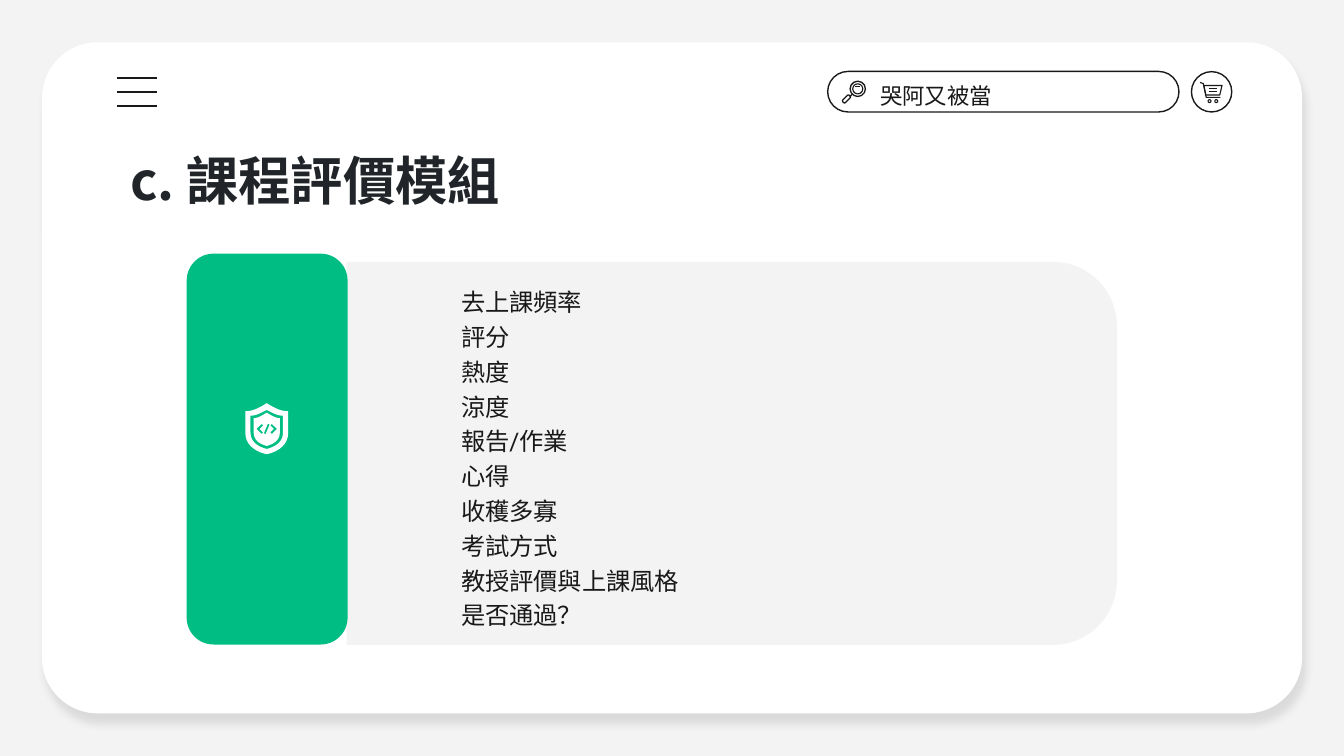
from dataclasses import dataclass
from typing import Optional

from lxml.etree import SubElement
from pptx import Presentation
from pptx.dml.color import RGBColor
from pptx.enum.shapes import MSO_CONNECTOR, MSO_SHAPE
from pptx.enum.text import MSO_ANCHOR, MSO_AUTO_SIZE, PP_ALIGN
from pptx.oxml.ns import qn
from pptx.util import Pt

GREY = RGBColor(0xF3, 0xF3, 0xF3)
WHITE = RGBColor(0xFF, 0xFF, 0xFF)
INK = RGBColor(0x19, 0x19, 0x19)
TITLE_INK = RGBColor(0x21, 0x25, 0x29)
GREEN = RGBColor(0x00, 0xBE, 0x83)
CJK = "Noto Sans CJK TC"

TOPICS = ["去上課頻率", "評分", "熱度", "涼度", "報告/作業", "心得", "收穫多寡",
          "考試方式", "教授評價與上課風格", "是否通過？"]


@dataclass
class Box:
    """A preset shape, measured in points."""
    kind: MSO_SHAPE
    x: float
    y: float
    w: float
    h: float
    fill: Optional[RGBColor] = None
    line: float = 0
    adj: tuple = ()
    rot: float = 0


@dataclass
class Shield:
    """Half width and the four key heights of one shield contour."""
    half: float
    top: float
    shoulder: float
    waist: float
    bottom: float


def paint(sp, fill: Optional[RGBColor], line: float) -> None:
    sp.shadow.inherit = False
    if fill is None:
        sp.fill.background()
    else:
        sp.fill.solid()
        sp.fill.fore_color.rgb = fill
    if line:
        sp.line.color.rgb = INK
        sp.line.width = Pt(line)
    else:
        sp.line.fill.background()


def draw_box(s, box: Box):
    sp = s.shapes.add_shape(box.kind, Pt(box.x), Pt(box.y), Pt(box.w), Pt(box.h))
    for i, value in enumerate(box.adj):
        sp.adjustments[i] = value
    sp.rotation = box.rot
    paint(sp, box.fill, box.line)
    return sp


def draw_ring(s, cx: float, cy: float, radius: float, line: float) -> None:
    draw_box(s, Box(MSO_SHAPE.OVAL, cx - radius, cy - radius,
                    2 * radius, 2 * radius, line=line))


def draw_line(s, x1: float, y1: float, x2: float, y2: float, width: float) -> None:
    c = s.shapes.add_connector(MSO_CONNECTOR.STRAIGHT, Pt(x1), Pt(y1), Pt(x2), Pt(y2))
    c.line.color.rgb = INK
    c.line.width = Pt(width)
    SubElement(c._element.spPr, qn("a:effectLst"))


def draw_outline(s, contours: list, close: bool = True,
                 fill: Optional[RGBColor] = None, line: float = 0) -> None:
    start = contours[0][0]
    fb = s.shapes.build_freeform(round(start[0] * 100), round(start[1] * 100), scale=Pt(1) / 100)
    for i, points in enumerate(contours):
        points = [(round(x * 100), round(y * 100)) for x, y in points]
        if i:
            fb.move_to(*points[0])
        fb.add_line_segments(points[1:], close=close)
    paint(fb.convert_to_shape(), fill, line)


def curve(p0: tuple, p1: tuple, p2: tuple, p3: tuple, steps: int = 10) -> list:
    weights = [((1 - t) ** 3, 3 * t * (1 - t) ** 2, 3 * t * t * (1 - t), t ** 3)
               for t in (i / steps for i in range(steps + 1))]
    return [tuple(sum(k * p[axis] for k, p in zip(w, (p0, p1, p2, p3)))
                  for axis in (0, 1)) for w in weights]


def shield_contour(cx: float, d: Shield) -> list:
    side = curve((0, d.top), (d.half * 0.45, d.shoulder - 1),
                 (d.half * 0.7, d.shoulder), (d.half, d.shoulder))
    side += curve((d.half, d.waist), (d.half, d.waist + (d.bottom - d.waist) * 0.7),
                  (d.half * 0.3, d.bottom - 0.6), (0, d.bottom))
    return [(cx + x, y) for x, y in side] + [(cx - x, y) for x, y in side[-2:0:-1]]


def write(sp, box: tuple, lines: list, fmt: dict, face: str, ink: RGBColor,
          anchor: MSO_ANCHOR, before: float = 0) -> None:
    sp.left, sp.top, sp.width, sp.height = map(Pt, box)
    tf = sp.text_frame
    frame = {"word_wrap": True, "auto_size": MSO_AUTO_SIZE.NONE, "vertical_anchor": anchor,
             "margin_left": Pt(7.2), "margin_right": Pt(7.2),
             "margin_top": Pt(7.2), "margin_bottom": Pt(7.2)}
    for name, value in frame.items():
        setattr(tf, name, value)
    for i, text in enumerate(lines):
        p = tf.add_paragraph() if i else tf.paragraphs[0]
        pPr = p._p.get_or_add_pPr()
        pPr.set("marL", "0")
        pPr.set("indent", "0")
        SubElement(pPr, qn("a:buNone"))
        p.alignment = PP_ALIGN.LEFT
        p.space_before = Pt(before if i else 0)
        r = p.add_run()
        r.text = text
        for name, value in fmt.items():
            setattr(r.font, name, value)
        r.font.name = face
        r.font.color.rgb = ink
        SubElement(r._r.get_or_add_rPr(), qn("a:ea")).set("typeface", face)


def main() -> None:
    prs = Presentation()
    prs.slide_width, prs.slide_height = Pt(720), Pt(405)
    s = prs.slides.add_slide(prs.slide_layouts[1])
    s.background.fill.solid()
    s.background.fill.fore_color.rgb = GREY

    # White window with a soft shadow
    window = draw_box(s, Box(MSO_SHAPE.ROUNDED_RECTANGLE, 22.5, 22.7, 675, 359.5,
                             WHITE, adj=(0.083,)))
    effects = window._element.spPr.find(qn("a:effectLst"))
    shadow = SubElement(effects, qn("a:outerShdw"), blurRad=str(Pt(4.5)),
                        dist=str(Pt(6)), dir=str(68 * 60000), rotWithShape="0")
    shade = SubElement(shadow, qn("a:srgbClr"), val="000000")
    SubElement(shade, qn("a:alpha"), val="10000")

    # Menu icon
    for i in range(3):
        y = 41.8 + 7.5 * i
        draw_line(s, 62.6, y, 84.2, y, 0.75)

    # Search bar with magnifier
    draw_box(s, Box(MSO_SHAPE.ROUNDED_RECTANGLE, 443.4, 38.3, 188.2, 21.7,
                    line=0.75, adj=(0.5,)))
    draw_ring(s, 459.5, 47.6, 4.1, 0.7)
    draw_ring(s, 459.5, 47.6, 2.7, 0.6)
    draw_line(s, 458.3, 46.5, 460.7, 46.5, 0.6)
    draw_line(s, 455.2, 51.9, 456.6, 50.5, 0.6)
    draw_box(s, Box(MSO_SHAPE.ROUNDED_RECTANGLE, 451, 52, 5, 2, line=0.7,
                    adj=(0.4,), rot=315))

    # Cart button
    draw_ring(s, 649.1, 49.2, 10.8, 0.75)
    draw_outline(s, [[(642.9, 44.2), (644.6, 44.8), (646.2, 52.2), (653.8, 52.2)]],
                 close=False, line=0.6)
    draw_outline(s, [[(645, 45.8), (654.7, 45.8), (653.5, 50.9), (646, 50.9)]], line=0.6)
    for y in (47.5, 49.2):
        draw_line(s, 647.5, y, 652, y, 0.6)
    for x in (648, 651.6):
        draw_ring(s, x, 54.2, 0.8, 0.6)

    # Content card
    draw_box(s, Box(MSO_SHAPE.ROUND_2_SAME_RECTANGLE, 289.4, 36.6, 205.2, 412.6,
                    GREY, adj=(0.167, 0), rot=90))
    draw_box(s, Box(MSO_SHAPE.ROUNDED_RECTANGLE, 100, 135.9, 86.2, 209.4,
                    GREEN, adj=(0.167,)))

    # Shield icon with code marks
    cx, cy = 142.9, 229.8
    shields = [Shield(11.5, 216, 220.3, 231.8, 243.3),
               Shield(8.7, 219.6, 222.7, 231.8, 240.5),
               Shield(7, 221.1, 224, 231.8, 238.9)]
    chevron = [(-2.7, -2.7), (-1.9, -1.9), (-3.8, 0), (-1.9, 1.9), (-2.7, 2.7), (-5.5, 0)]
    slash = [(0.6, -2.8), (1.6, -2.4), (-0.6, 2.8), (-1.6, 2.4)]
    marks = [chevron, [(-x, y) for x, y in chevron], slash]
    draw_outline(s, [shield_contour(cx, d) for d in shields]
                 + [[(cx + x, cy + y) for x, y in mark] for mark in marks], fill=WHITE)

    # Texts
    title, body = s.shapes.title, s.placeholders[1]
    for sp in (title, body):
        sp._element.getparent().append(sp._element)
    search = s.shapes.add_textbox(Pt(0), Pt(0), Pt(1), Pt(1))
    write(title, (62.6, 73.4, 607, 45.4), ["c. 課程評價模組"],
          {"size": Pt(28), "bold": True}, CJK, TITLE_INK, MSO_ANCHOR.MIDDLE)
    write(search, (464.4, 36.7, 187.2, 28.8), ["哭阿又被當"],
          {"size": Pt(12)}, CJK, INK, MSO_ANCHOR.MIDDLE)
    write(body, (239.8, 146.9, 236.2, 187.9), TOPICS,
          {"size": Pt(13)}, "Roboto", INK, MSO_ANCHOR.TOP, before=3)

    prs.save("out.pptx")


if __name__ == "__main__":
    main()
